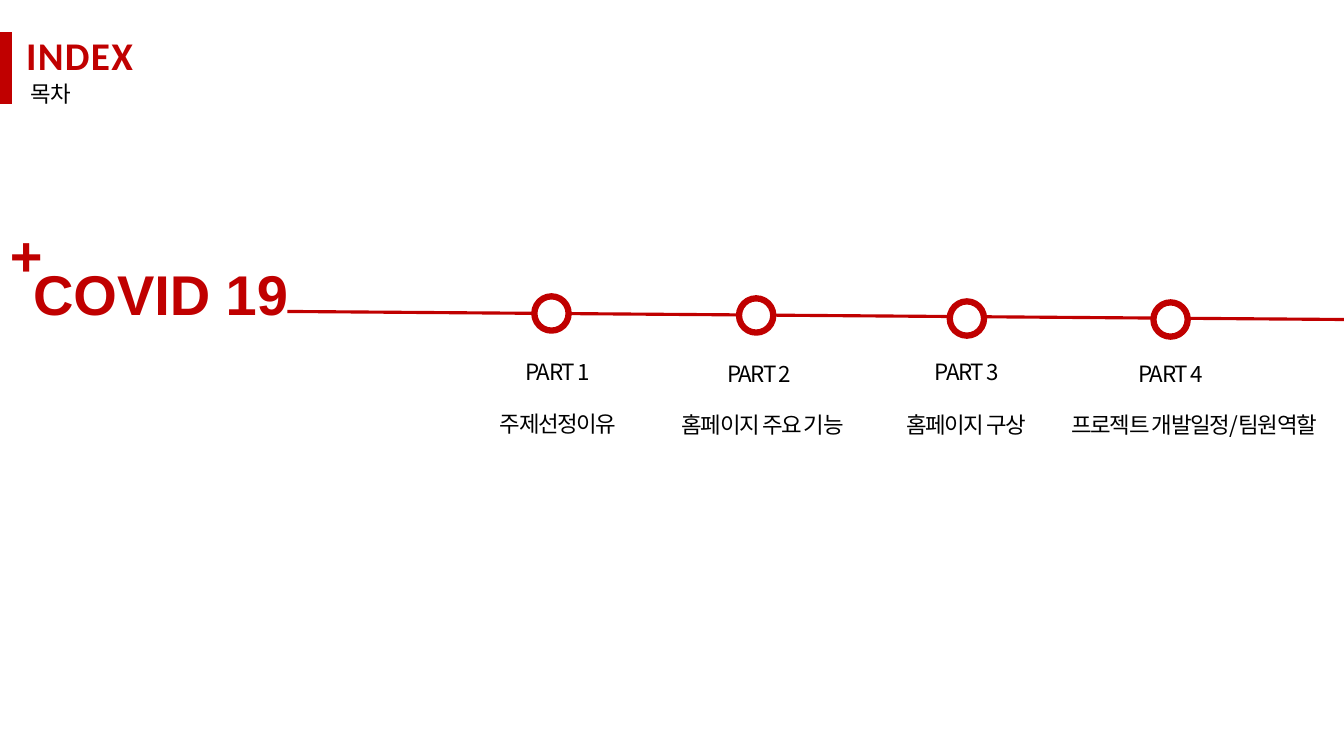
from dataclasses import dataclass

from lxml import etree
from pptx import Presentation
from pptx import util as u
from pptx.dml.color import RGBColor
from pptx.enum import shapes, text
from pptx.oxml import ns
from pptx.slide import Slide


@dataclass(frozen=True)
class Theme:
    red: RGBColor = RGBColor(0xC0, 0x00, 0x00)
    black: RGBColor = RGBColor(0x00, 0x00, 0x00)
    white: RGBColor = RGBColor(0xFF, 0xFF, 0xFF)
    heading_size: float = 28
    subject_size: float = 40
    label_size: float = 16
    bar_width: float = 10
    timeline_width: float = 2.25
    ring_width: float = 4.5


@dataclass(frozen=True)
class TextStyle:
    font: str
    size: float
    color: RGBColor
    bold: bool = False
    spacing: int = 0  # hundredths of a point
    align: text.PP_ALIGN = text.PP_ALIGN.LEFT


@dataclass(frozen=True)
class Box:
    left: float
    top: float
    width: float
    height: float


@dataclass(frozen=True)
class Milestone:
    heading: str
    topic: str
    ring_left: float
    ring_top: float
    heading_left: float
    heading_top: float
    topic_left: float
    topic_top: float
    topic_width: float = 2.09


THEME = Theme()
KOREAN = "Noto Sans CJK KR"
HEADING = TextStyle("Calibri", THEME.heading_size, THEME.red, bold=True, spacing=100)
SUBHEADING = TextStyle(KOREAN, THEME.label_size, THEME.black)
SUBJECT = TextStyle("Arial", THEME.subject_size, THEME.red, bold=True)
LABEL = TextStyle(KOREAN, THEME.label_size, THEME.black, spacing=-100,
                  align=text.PP_ALIGN.CENTER)

RING_SIZE = 0.34
HEADING_WIDTH = 1.72
LABEL_HEIGHT = 0.37

MILESTONES = [
    Milestone("PART 1", "주제선정이유", 5.3, 2.94, 4.67, 3.5, 4.49, 4.02),
    Milestone("PART 2", "홈페이지 주요 기능", 7.33, 2.96, 6.67, 3.52, 6.52, 4.03),
    Milestone("PART 3", "홈페이지 구상", 9.42, 2.99, 8.73, 3.5, 8.54, 4.03),
    Milestone("PART 4", "프로젝트 개발일정/팀원역할", 11.44, 3, 10.75, 3.52,
              10.53, 4.03, topic_width=2.63),
]


def add_text(slide: Slide, words: str, box: Box, style: TextStyle) -> None:
    frame = slide.shapes.add_textbox(
        u.Inches(box.left), u.Inches(box.top),
        u.Inches(box.width), u.Inches(box.height)).text_frame
    frame.word_wrap = True
    frame.auto_size = text.MSO_AUTO_SIZE.SHAPE_TO_FIT_TEXT
    paragraph = frame.paragraphs[0]
    paragraph.alignment = style.align
    run = paragraph.add_run()
    run.text = words
    run.font.name = style.font
    run.font.size = u.Pt(style.size)
    run.font.bold = style.bold
    run.font.color.rgb = style.color
    properties = run._r.get_or_add_rPr()
    if style.spacing:
        properties.set("spc", str(style.spacing))
    east_asian = etree.SubElement(properties, ns.qn("a:ea"))
    east_asian.set("typeface", style.font)


def add_line(slide: Slide, start: tuple[float, float],
             end: tuple[float, float], width: float) -> None:
    line = slide.shapes.add_connector(
        shapes.MSO_CONNECTOR.STRAIGHT,
        *(u.Inches(length) for length in (*start, *end)))
    line.line.color.rgb = THEME.red
    line.line.width = u.Pt(width)
    etree.SubElement(line._element.spPr, ns.qn("a:effectLst"))


def add_ring(slide: Slide, left: float, top: float) -> None:
    ring = slide.shapes.add_shape(
        shapes.MSO_SHAPE.OVAL, u.Inches(left), u.Inches(top),
        u.Inches(RING_SIZE), u.Inches(RING_SIZE))
    ring.shadow.inherit = False
    ring.fill.solid()
    ring.fill.fore_color.rgb = THEME.white
    ring.line.color.rgb = THEME.red
    ring.line.width = u.Pt(THEME.ring_width)


def add_milestone(slide: Slide, stop: Milestone) -> None:
    add_ring(slide, stop.ring_left, stop.ring_top)
    add_text(slide, stop.heading,
             Box(stop.heading_left, stop.heading_top, HEADING_WIDTH, LABEL_HEIGHT),
             LABEL)
    add_text(slide, stop.topic,
             Box(stop.topic_left, stop.topic_top, stop.topic_width, LABEL_HEIGHT),
             LABEL)


def main() -> None:
    deck = Presentation()
    deck.slide_width = u.Inches(13.33)
    deck.slide_height = u.Inches(7.5)
    slide = deck.slides.add_slide(deck.slide_layouts[6])

    add_line(slide, (0.05, 0.32), (0.05, 1.03), THEME.bar_width)
    add_text(slide, "INDEX", Box(0.16, 0.26, 4.51, 0.57), HEADING)
    add_text(slide, "목차", Box(0.2, 0.75, 1.43, LABEL_HEIGHT), SUBHEADING)

    add_line(slide, (2.85, 3.09), (13.33, 3.17), THEME.timeline_width)
    add_text(slide, "COVID 19", Box(0.23, 2.53, 4.51, 0.77), SUBJECT)
    add_text(slide, "+", Box(0, 2.14, 0.86, 0.77), SUBJECT)
    for stop in MILESTONES:
        add_milestone(slide, stop)

    deck.save("out.pptx")


if __name__ == "__main__":
    main()
